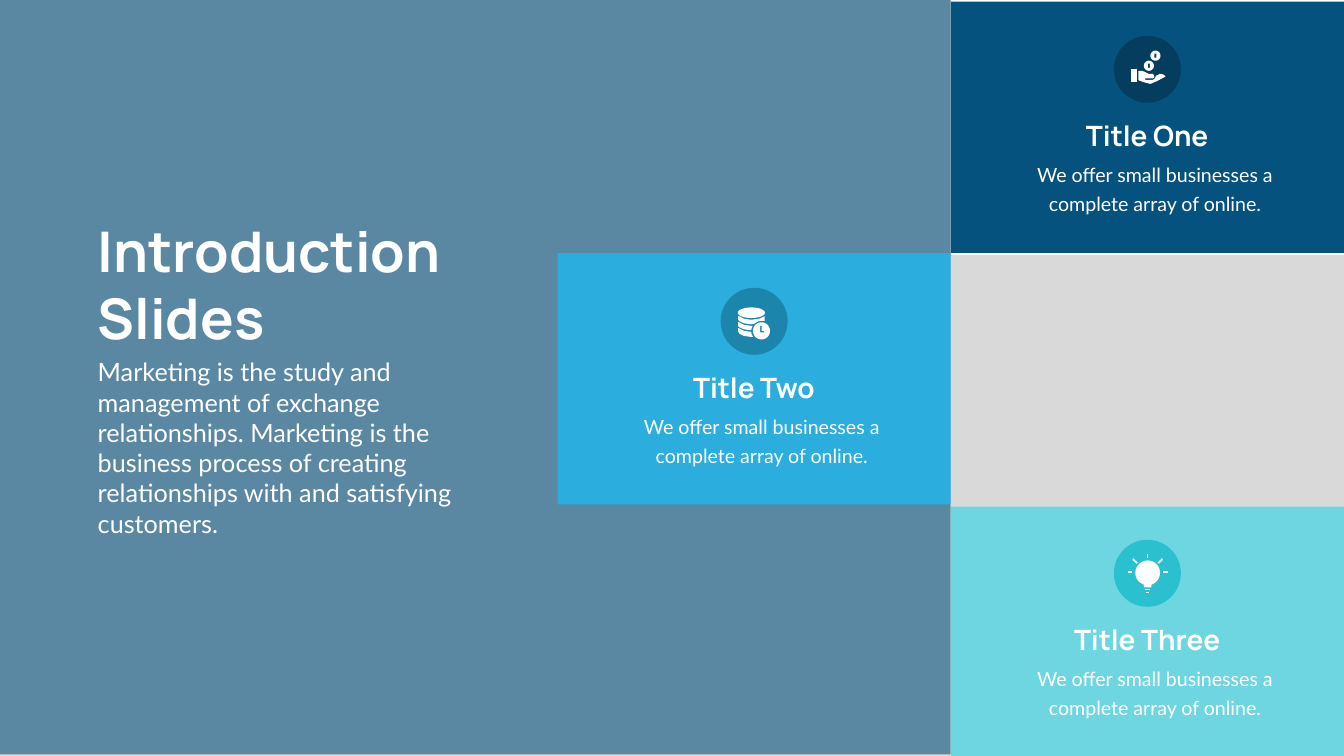
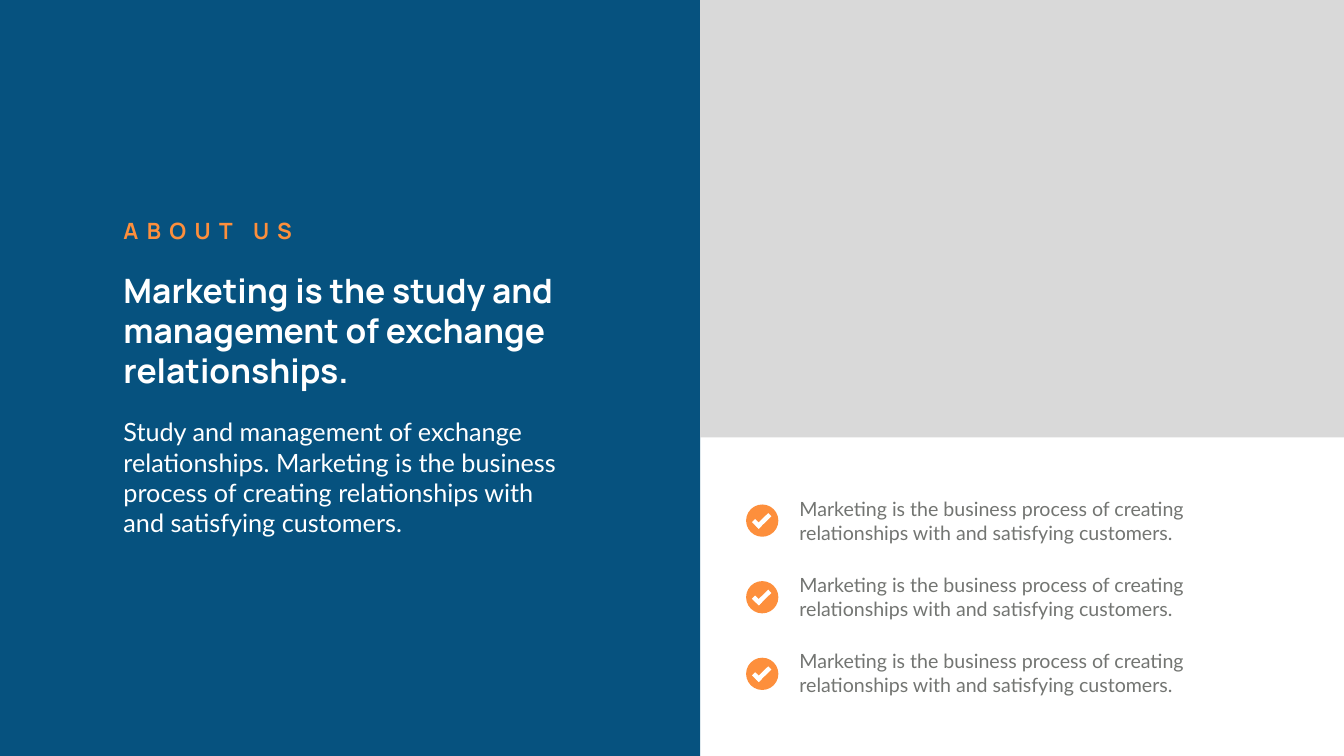
"""Build an introduction slide with three title tiles and an about-us slide with a checklist."""
import math

import lxml.etree
import pptx
import pptx.dml.color
import pptx.enum.shapes
import pptx.enum.text
import pptx.oxml.ns
import pptx.util

NAVY = pptx.dml.color.RGBColor(0x06, 0x52, 0x7F)
DARK_NAVY = pptx.dml.color.RGBColor(0x05, 0x3D, 0x5F)
BLUE = pptx.dml.color.RGBColor(0x2B, 0xAE, 0xDD)
DARK_BLUE = pptx.dml.color.RGBColor(0x1B, 0x85, 0xAB)
AQUA = pptx.dml.color.RGBColor(0x6E, 0xD6, 0xE1)
DARK_AQUA = pptx.dml.color.RGBColor(0x2B, 0xC0, 0xD0)
ORANGE = pptx.dml.color.RGBColor(0xFD, 0x8F, 0x3C)
LIGHT_GRAY = pptx.dml.color.RGBColor(0xD9, 0xD9, 0xD9)
TEXT_GRAY = pptx.dml.color.RGBColor(0x73, 0x75, 0x72)
WHITE = pptx.dml.color.RGBColor(0xFF, 0xFF, 0xFF)

HEADING_FONT = "Manrope"
BODY_FONT = "Lato"
RECTANGLE = pptx.enum.shapes.MSO_SHAPE.RECTANGLE
OVAL = pptx.enum.shapes.MSO_SHAPE.OVAL
LEFT = pptx.enum.text.PP_ALIGN.LEFT
CENTER = pptx.enum.text.PP_ALIGN.CENTER

SLIDE_WIDTH = 26.66
SLIDE_HEIGHT = 15
TILE_WIDTH = 7.8
TILE_HEIGHT = 4.99
ROW_HEIGHT = SLIDE_HEIGHT / 3
DISC_SIZE = 1.33


def add_block(slide, kind, left, top, width, height, color, rotation=0):
    shape = slide.shapes.add_shape(
        kind, *[pptx.util.Inches(length) for length in (left, top, width, height)])
    shape.shadow.inherit = False
    shape.fill.solid()
    shape.fill.fore_color.rgb = color
    shape.line.fill.background()
    shape.rotation = rotation
    return shape


def add_text(slide, text, left, top, width, height, size, color=WHITE,
             font_name=BODY_FONT, alignment=LEFT, line_spacing=None):
    shape = slide.shapes.add_textbox(
        *[pptx.util.Inches(length) for length in (left, top, width, height)])
    frame = shape.text_frame
    frame.word_wrap = True
    frame.auto_size = pptx.enum.text.MSO_AUTO_SIZE.SHAPE_TO_FIT_TEXT
    paragraph = frame.paragraphs[0]
    paragraph.text = text
    paragraph.alignment = alignment
    if line_spacing:
        paragraph.line_spacing = pptx.util.Pt(line_spacing)
    paragraph.font.name = font_name
    paragraph.font.size = pptx.util.Pt(size)
    paragraph.font.bold = font_name == HEADING_FONT
    paragraph.font.color.rgb = color
    return shape


presentation = pptx.Presentation()
presentation.slide_width = pptx.util.Inches(SLIDE_WIDTH)
presentation.slide_height = pptx.util.Inches(SLIDE_HEIGHT)
blank_layout = presentation.slide_layouts[6]

# Icon outlines are hundredths of an inch from the centre of their disc.
unit_circle = [(math.cos(math.radians(angle)), math.sin(math.radians(angle)))
               for angle in range(0, 360, 10)]

hand_icon = [
    [[(-33, 0), (-20, 0), (-20, 25), (-33, 25)]],
    [[(35, 13), (31, 10), (25, 9), (17, 13), (15, 18), (11, 21), (-4, 21), (-5, 19),
      (-4, 18), (11, 18), (14, 16), (13, 12), (11, 9), (2, 9), (0, 8), (-5, 5),
      (-12, 3), (-17, 3), (-18, 4), (-18, 21), (-17, 22), (-6, 26), (6, 29),
      (18, 24), (35, 15), (36, 14)]],
]
for x, y in [(16, -27), (3, -7)]:
    hand_icon.append([
        [(x + 10 * cosine, y + 10 * sine) for cosine, sine in unit_circle],
        [(x - 2, y - 4), (x - 2, y + 4), (x + 2, y + 4), (x + 2, y - 4)],
    ])

coins_icon = [
    [[(-5.5 + 27 * cosine, -17 + 10.5 * sine) for cosine, sine in unit_circle]],
    [[(-32, -11), (-20, -5), (-6, -3), (10, -5), (21, -10), (21, -1), (15, -1),
      (8, 0), (0, 5), (-6, 6), (-20, 4), (-29, 0), (-32, -3)]],
    [[(-32, 1), (-20, 7), (-6, 9), (-3, 9), (-5, 13), (-6, 18), (-20, 16),
      (-29, 12), (-32, 9)]],
    [[(-32, 13), (-20, 19), (-6, 21), (-5, 26), (-2, 31), (-6, 31), (-20, 29),
      (-29, 25), (-32, 20)]],
    [[(14.5 + 17 * cosine, 19 + 17 * sine) for cosine, sine in unit_circle],
     [(12, 9), (12, 22), (20, 22), (20, 19), (15, 19), (15, 9)]],
]

bulb_arc = [(0.5 + 24.5 * math.cos(math.radians(angle)),
             -1 + 24.5 * math.sin(math.radians(angle))) for angle in range(108, 433, 9)]
bulb_icon = [[bulb_arc + [(8, 28), (-7, 28)]]]
bulb_bars = [(-5, 31, 6, 34), (-2, 37, 3, 40), (-1, -38, 2, -30),
             (-39, -4, -30, 0), (31, -4, 40, 0)]
for left, top, right, bottom in bulb_bars:
    bulb_icon.append([[(left, top), (right, top), (right, bottom), (left, bottom)]])
slanted_ray = [(-30, -27), (-28, -30), (-19, -21), (-22, -19)]
bulb_icon += [[slanted_ray], [[(1 - x, y) for x, y in slanted_ray]]]

introduction = presentation.slides.add_slide(blank_layout)
panel_width = SLIDE_WIDTH - TILE_WIDTH
add_block(introduction, RECTANGLE, 0, 0, panel_width, SLIDE_HEIGHT, LIGHT_GRAY)
overlay = add_block(introduction, RECTANGLE, 0, -0.03, panel_width, SLIDE_HEIGHT, NAVY)
overlay_color = overlay.element.find(".//" + pptx.oxml.ns.qn("a:srgbClr"))
lxml.etree.SubElement(overlay_color, pptx.oxml.ns.qn("a:alpha"), val="60000")

add_text(introduction, "Introduction Slides", 1.84, 4.24, 8.15, 2.79, 80,
         font_name=HEADING_FONT)
add_text(introduction,
         "Marketing is the study and management of exchange relationships. Marketing is "
         "the business process of creating relationships with and satisfying customers.",
         1.84, 7.03, 8.15, 3.74, 36)

tiles = [
    ("Title One", 1, NAVY, DARK_NAVY, hand_icon),
    ("Title Two", 2, BLUE, DARK_BLUE, coins_icon),
    ("Title Three", 1, AQUA, DARK_AQUA, bulb_icon),
]
icon_unit = pptx.util.Inches(0.01)
for row, (title, columns_from_right, tile_color, disc_color, icon) in enumerate(tiles):
    tile_left = SLIDE_WIDTH - columns_from_right * TILE_WIDTH
    tile_top = SLIDE_HEIGHT - (len(tiles) - row) * TILE_HEIGHT
    row_top = row * ROW_HEIGHT
    center_x = tile_left + TILE_WIDTH / 2
    disc_top = row_top + 0.71
    add_block(introduction, RECTANGLE, tile_left, tile_top, TILE_WIDTH, TILE_HEIGHT,
              tile_color)
    add_block(introduction, OVAL, center_x - DISC_SIZE / 2, disc_top, DISC_SIZE,
              DISC_SIZE, disc_color)
    for outline in icon:
        contours = [[(x * icon_unit, y * icon_unit) for x, y in contour]
                    for contour in outline]
        builder = introduction.shapes.build_freeform(*contours[0][0])
        builder.add_line_segments(contours[0][1:], close=True)
        for hole in contours[1:]:
            builder.move_to(*hole[0])
            builder.add_line_segments(hole[1:], close=True)
        icon_part = builder.convert_to_shape(
            pptx.util.Inches(center_x), pptx.util.Inches(disc_top + DISC_SIZE / 2))
        icon_part.shadow.inherit = False
        icon_part.fill.solid()
        icon_part.fill.fore_color.rgb = WHITE
        icon_part.line.fill.background()
    add_text(introduction, title, tile_left + 1.06, row_top + 2.31, 5.67, 0.77, 40,
             font_name=HEADING_FONT, alignment=CENTER)
    add_text(introduction, "We offer small businesses a complete array of online.",
             tile_left + 1.36, row_top + 3.09, 5.38, 1.19, 28,
             alignment=CENTER, line_spacing=40.8)
add_block(introduction, RECTANGLE, panel_width, 5.06, TILE_WIDTH, TILE_HEIGHT, LIGHT_GRAY)

about = presentation.slides.add_slide(blank_layout)
about_width = 13.89
add_block(about, RECTANGLE, 0, 0, about_width, SLIDE_HEIGHT, NAVY)
add_block(about, RECTANGLE, about_width, 0, SLIDE_WIDTH - about_width, 8.68, LIGHT_GRAY)
add_text(about, "Marketing is the study and management of exchange relationships.",
         2.35, 5.3, 9.19, 2.52, 48, font_name=HEADING_FONT)
label = add_text(about, "ABOUT US", 2.35, 4.26, 9.19, 0.64, 32, ORANGE, HEADING_FONT)
label.element.find(".//" + pptx.oxml.ns.qn("a:defRPr")).set("spc", "1200")
add_text(about,
         "Study and management of exchange relationships. Marketing is the business "
         "process of creating relationships with and satisfying customers.",
         2.35, 8.22, 9.19, 2.52, 36)

for row in range(3):
    check_top = 10.01 + 1.52 * row
    add_block(about, OVAL, 14.8, check_top, 0.64, 0.64, ORANGE)
    add_block(about, RECTANGLE, 14.92, check_top + 0.34, 0.19, 0.09, WHITE, 44.4)
    add_block(about, RECTANGLE, 14.97, check_top + 0.28, 0.35, 0.09, WHITE, 135.7)
    add_text(about,
             "Marketing is the business process of creating relationships with and "
             "satisfying customers.",
             15.76, 9.81 + 1.51 * row, 9.99, 1.04, 28, TEXT_GRAY)

presentation.save("out.pptx")
